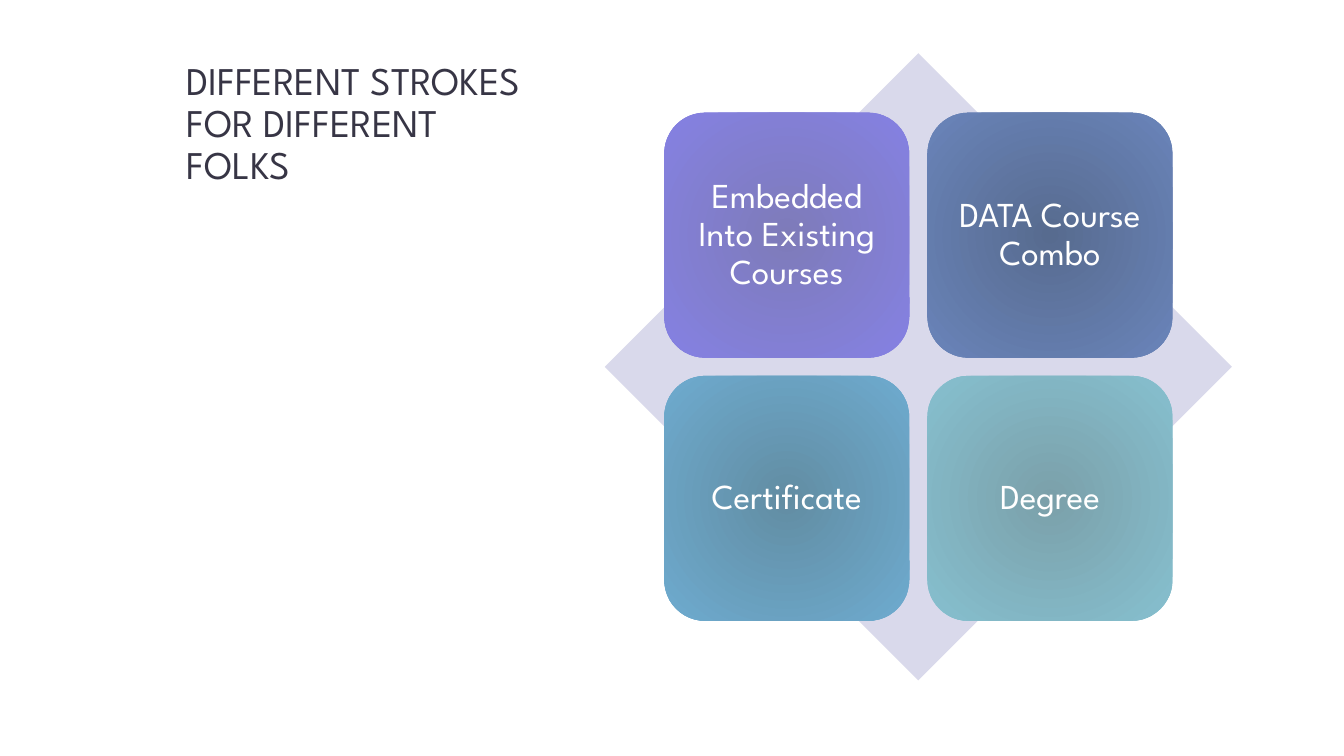
from lxml.etree import SubElement
from pptx import Presentation
from pptx.dml.color import RGBColor
from pptx.enum.shapes import MSO_SHAPE as Preset
from pptx.enum.text import MSO_ANCHOR as Anchor, PP_ALIGN as Align
from pptx.oxml.ns import qn
from pptx.util import Pt

FONT = "League Spartan"
INK = RGBColor(0x37, 0x35, 0x45)
WHITE = RGBColor(0xFF, 0xFF, 0xFF)
LAVENDER = RGBColor(0xD9, 0xD9, 0xEB)
VIOLET = RGBColor(0x7E, 0x7B, 0xB9), RGBColor(0x85, 0x81, 0xE3)
NAVY = RGBColor(0x57, 0x6B, 0x8F), RGBColor(0x6A, 0x84, 0xBA)
BLUE = RGBColor(0x62, 0x8D, 0xA3), RGBColor(0x6E, 0xAB, 0xCF)
TEAL = RGBColor(0x7B, 0xA0, 0xAA), RGBColor(0x86, 0xC0, 0xCF)

# Pathways in reading order, two to a row
PATHWAYS = [
    ("Embedded Into Existing Courses", VIOLET),
    ("DATA Course Combo", NAVY),
    ("Certificate", BLUE),
    ("Degree", TEAL),
]
TILES_LEFT, TILES_TOP = 474.5, 80.5
TILE_SIZE, TILE_PITCH = 175, 188


def write(holder, text, size, color, align=Align.LEFT, anchor=Anchor.MIDDLE):
    frame = holder.text_frame
    frame.word_wrap = True
    frame.vertical_anchor = anchor
    paragraph = frame.paragraphs[0]
    paragraph.alignment = align
    paragraph.line_spacing = 0.9
    run = paragraph.add_run()
    run.text = text
    run.font.name = FONT
    run.font.size = Pt(size)
    run.font.color.rgb = color


def add_plain_shape(slide, preset, left, top, size):
    shape = slide.shapes.add_shape(preset, Pt(left), Pt(top), Pt(size), Pt(size))
    shape.shadow.inherit = False
    shape.line.fill.background()
    return shape


def fill_radial(shape, colors):
    shape.fill.gradient()
    for stop, color in zip(shape.fill.gradient_stops, colors):
        stop.color.rgb = color
    # Turn the linear gradient into a circular one
    gradient = shape.element.spPr.find(qn("a:gradFill"))
    gradient.remove(gradient.find(qn("a:lin")))
    circle = SubElement(gradient, qn("a:path"), {"path": "circle"})
    SubElement(circle, qn("a:fillToRect"), dict.fromkeys("ltrb", "100000"))


def add_tile(slide, text, colors, left, top):
    tile = add_plain_shape(slide, Preset.ROUNDED_RECTANGLE, left, top, TILE_SIZE)
    fill_radial(tile, colors)
    frame = tile.text_frame
    frame.margin_left = frame.margin_right = Pt(7.2)
    frame.margin_top = frame.margin_bottom = Pt(7.2)
    write(tile, text, size=25, color=WHITE, align=Align.CENTER)


def main():
    deck = Presentation()
    deck.slide_width, deck.slide_height = Pt(960), Pt(540)
    slide = deck.slides.add_slide(deck.slide_layouts[6])

    # Title
    title = slide.shapes.add_textbox(Pt(126), Pt(30), Pt(259), Pt(108))
    write(title, "DIFFERENT STROKES FOR DIFFERENT FOLKS", size=28, color=INK,
          anchor=Anchor.BOTTOM)

    # Diamond behind the tiles
    diamond = add_plain_shape(slide, Preset.DIAMOND, 432, 38, 448)
    diamond.fill.solid()
    diamond.fill.fore_color.rgb = LAVENDER

    # Two-by-two grid of pathways
    for index, (pathway, colors) in enumerate(PATHWAYS):
        row, column = divmod(index, 2)
        add_tile(slide, pathway, colors,
                 TILES_LEFT + column * TILE_PITCH, TILES_TOP + row * TILE_PITCH)

    deck.save("out.pptx")


if __name__ == "__main__":
    main()
